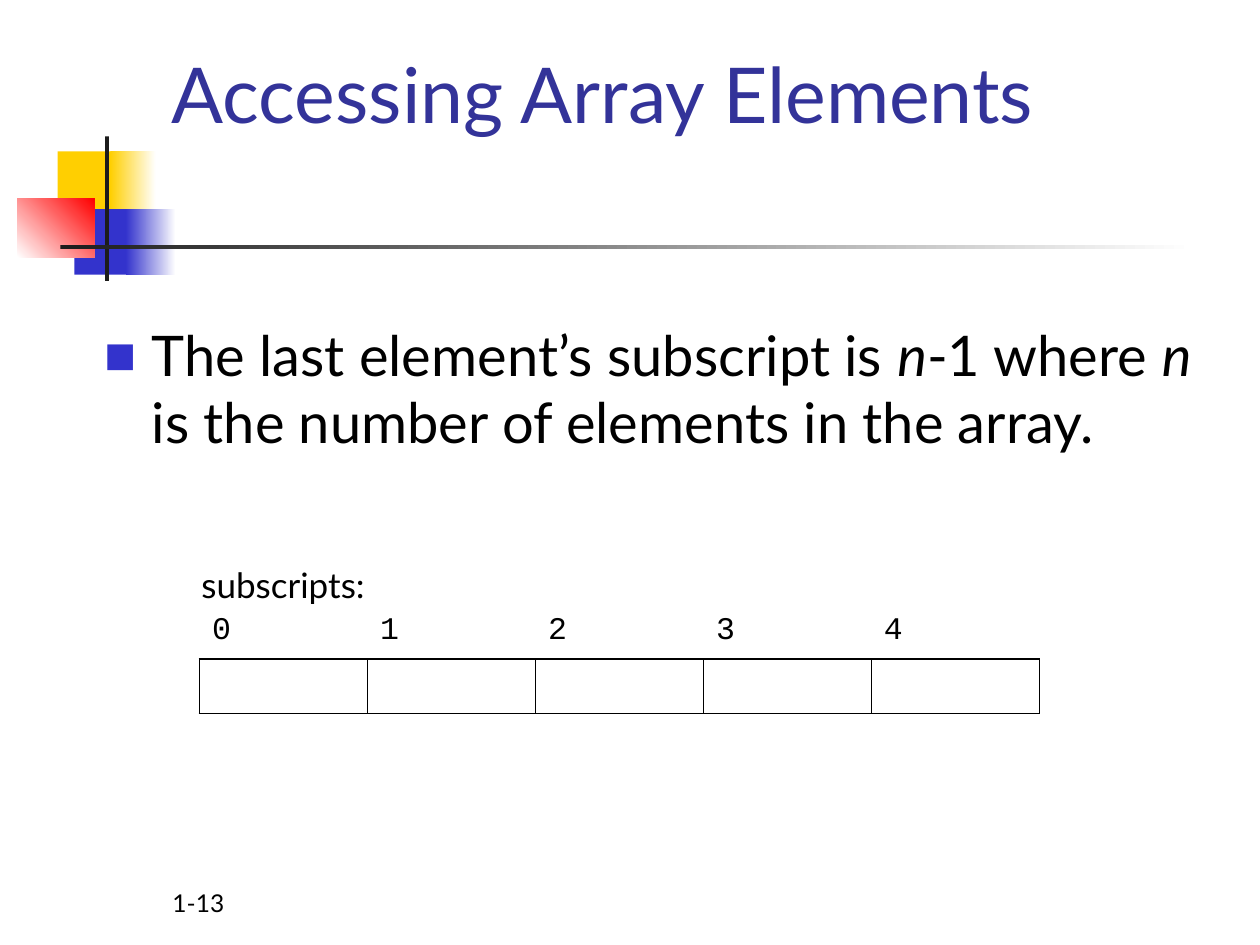
from lxml.etree import SubElement
from pptx import Presentation
from pptx.dml.color import RGBColor
from pptx.enum.shapes import MSO_SHAPE as Shape
from pptx.enum.text import MSO_ANCHOR as Anchor, MSO_AUTO_SIZE as AutoSize, PP_ALIGN as Align
from pptx.oxml import parse_xml
from pptx.oxml.ns import nsdecls, qn
from pptx.util import Pt

NO_STYLE = "{2D5ABB26-0587-4C30-8999-92F81FD0307C}"


def color(hex_code):
    return RGBColor.from_string(hex_code)


def add_text(paragraph, text, size, hex_code="000000", font="Lato", italic=False):
    run = paragraph.add_run()
    run.text = text
    look = {"size": Pt(size), "name": font, "italic": italic}
    for key, value in look.items():
        setattr(run.font, key, value)
    run.font.color.rgb = color(hex_code)


prs = Presentation()
prs.slide_width, prs.slide_height = Pt(720), Pt(540)
slide = prs.slides.add_slide(prs.slide_layouts[1])
title, body = slide.placeholders[0], slide.placeholders[1]

# Corner ornament: left, top, width, height, colours, gradient angle
ornament = [
    (33, 86.5, 34.5, 37.5, ["FFCF01"], 0),
    (63, 86.5, 26, 37.5, ["FFCF01", "FFFFFF"], 0),
    (42.5, 119.5, 33, 37.5, ["3333CC"], 0),
    (72, 119.5, 28.5, 37.5, ["3333CC", "FFFFFF"], 0),
    (10, 113.5, 44, 33.5, ["FFFFFF", "FF0000"], 45),
    (60, 78, 2.3, 82.5, ["1C1C1C"], 0),
    (34.5, 140, 648, 2.5, ["1C1C1C", "FFFFFF"], 0),
]
for left, top, width, height, tones, angle in ornament:
    block = slide.shapes.add_shape(Shape.RECTANGLE, Pt(left), Pt(top), Pt(width), Pt(height))
    block.shadow.inherit = False
    block.line.fill.background()
    if len(tones) == 1:
        block.fill.solid()
        block.fill.fore_color.rgb = color(tones[0])
    else:
        block.fill.gradient()
        block.fill.gradient_angle = angle
        for stop, position, tone in zip(block.fill.gradient_stops, (0, 1), tones):
            stop.position = position
            stop.color.rgb = color(tone)

page_number = slide.shapes.add_textbox(Pt(91.5), Pt(492), Pt(150), Pt(36))
page_number.text_frame.word_wrap = True
page_number.text_frame.vertical_anchor = Anchor.BOTTOM
add_text(page_number.text_frame.paragraphs[0], "1-13", 14)

places = [(title, 90.75, 16.5, 613.5, 66.25, Anchor.BOTTOM),
          (body, 52.5, 179.25, 653, 278, Anchor.TOP)]
for holder, left, top, width, height, anchor in places:
    box = {"left": left, "top": top, "width": width, "height": height}
    for key, value in box.items():
        setattr(holder, key, Pt(value))
    holder.text_frame.auto_size = AutoSize.NONE
    holder.text_frame.vertical_anchor = anchor
    holder.text_frame.paragraphs[0].alignment = Align.LEFT

add_text(title.text_frame.paragraphs[0], "Accessing Array Elements", 44, "333399")

rule = body.text_frame.paragraphs[0]
rule.space_before = Pt(0)
rule_format = rule._p.get_or_add_pPr()
rule_format.set("marL", str(Pt(27)))
rule_format.set("indent", str(Pt(-27)))
for bullet in ('<a:buClr {}><a:srgbClr val="3333CC"/></a:buClr>',
               '<a:buSzPct {} val="60000"/>',
               '<a:buFont {} typeface="Lato"/>',
               '<a:buChar {} char="■"/>'):
    rule_format.append(parse_xml(bullet.format(nsdecls("a"))))
for words, italic in [("The last element’s subscript is ", False), ("n", True),
                      ("-1 where ", False), ("n", True),
                      (" is the number of elements in the array.", False)]:
    add_text(rule, words, 32, italic=italic)

# Subscripts above, then the bordered array elements
for top, subscripts in [(347, "01234"), (376.75, "")]:
    frame = slide.shapes.add_table(1, 5, Pt(114), Pt(top), Pt(480), Pt(31))
    row = frame.table
    row.first_row = row.horz_banding = False
    row._tbl.tblPr.find(qn("a:tableStyleId")).text = NO_STYLE
    for column, cell in enumerate(row.iter_cells()):
        if subscripts:
            add_text(cell.text_frame.paragraphs[0], subscripts[column], 18, font="Courier New")
        else:
            borders = {"L": 0.45 if column else 1.08, "R": 0.45 if column < 4 else 1.08,
                       "T": 1.08, "B": 1.08}
            for side, weight in borders.items():
                edge = SubElement(cell._tc.get_or_add_tcPr(), qn("a:ln" + side), w=str(Pt(weight)))
                SubElement(SubElement(edge, qn("a:solidFill")), qn("a:srgbClr"), val="000000")
        cell.fill.background()

label = slide.shapes.add_textbox(Pt(108), Pt(318.25), Pt(110), Pt(55))
label.text_frame.word_wrap = True
label.text_frame.auto_size = AutoSize.SHAPE_TO_FIT_TEXT
add_text(label.text_frame.paragraphs[0], "subscripts:", 20)

prs.save("out.pptx")
